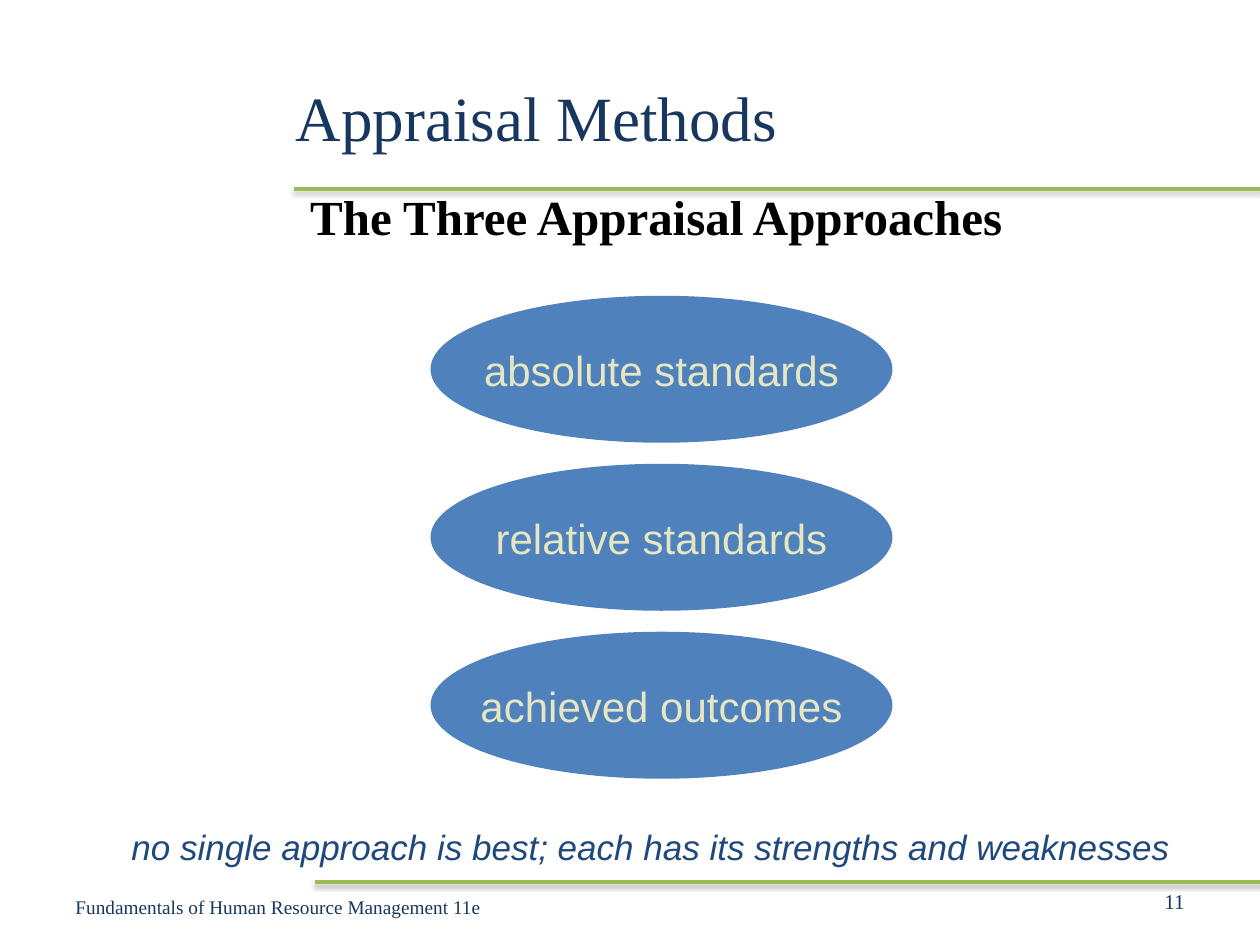
from pptx import Presentation
from pptx.dml.color import RGBColor
from pptx.enum.shapes import MSO_CONNECTOR, MSO_SHAPE
from pptx.enum.text import MSO_ANCHOR, PP_ALIGN
from pptx.oxml import parse_xml
from pptx.oxml.ns import nsdecls
from pptx.util import Pt

LINE = MSO_CONNECTOR.STRAIGHT
OVAL = MSO_SHAPE.OVAL
TOP, MIDDLE = MSO_ANCHOR.TOP, MSO_ANCHOR.MIDDLE
LEFT, CENTER, RIGHT = PP_ALIGN.LEFT, PP_ALIGN.CENTER, PP_ALIGN.RIGHT
SERIF, SANS = "Times New Roman", "Arial"
NAVY, BLUE, GREEN = "17375E", "4F81BD", "9BBB59"
SHADOW = (
    f'<a:effectLst {nsdecls("a")}>'
    '<a:outerShdw blurRad="39370" dist="20320" dir="5400000" rotWithShape="0">'
    '<a:srgbClr val="000000"><a:alpha val="38000"/></a:srgbClr>'
    "</a:outerShdw></a:effectLst>"
)


def color(code):
    return RGBColor.from_string(code)


def apply(item, values):
    for name, value in values.items():
        setattr(item, name, value)


class Deck:
    def __init__(self, wide, high):
        self.prs = Presentation()
        apply(self.prs, {"slide_width": Pt(wide), "slide_height": Pt(high)})
        self.slide = self.prs.slides.add_slide(self.prs.slide_layouts[6])
        self.shapes = self.slide.shapes

    def fill_text(self, shape, text, size, tint, font=SERIF, align=LEFT,
                  anchor=MIDDLE, wrap=True, before=0, **style):
        frame = shape.text_frame
        apply(frame, {"word_wrap": wrap, "vertical_anchor": anchor})
        para = frame.paragraphs[0]
        apply(para, {"alignment": align, "space_before": Pt(before)})
        run = para.add_run()
        run.text = text
        apply(run.font, {"name": font, "size": Pt(size), **style})
        run.font.color.rgb = color(tint)

    def label(self, box, text, size, tint, **style):
        shape = self.shapes.add_textbox(*map(Pt, box))
        self.fill_text(shape, text, size, tint, **style)

    def oval(self, box, text):
        shape = self.shapes.add_shape(OVAL, *map(Pt, box))
        shape.shadow.inherit = False
        shape.fill.solid()
        shape.fill.fore_color.rgb = color(BLUE)
        shape.line.fill.background()
        self.fill_text(shape, text, 24, "E6E6C2", font=SANS, align=CENTER,
                       wrap=False)

    def rule(self, left, right, y):
        line = self.shapes.add_connector(LINE, Pt(left), Pt(y), Pt(right), Pt(y))
        line.line.width = Pt(2)
        line.line.color.rgb = color(GREEN)
        line._element.spPr.append(parse_xml(SHADOW))

    def save(self):
        self.prs.save("out.pptx")


def main():
    deck = Deck(720, 540)
    deck.rule(168, 720, 108)
    deck.rule(180, 720, 504)
    deck.label((162, 21.6, 522, 90), "Appraisal Methods", 36, NAVY)
    deck.label((516, 500.4, 168, 28.8), "11", 12, NAVY, align=RIGHT)
    deck.label((36, 504, 270, 28.8),
               "Fundamentals of Human Resource Management 11e", 11, NAVY)
    deck.label((72, 103, 606, 50.4), "The Three Appraisal Approaches", 28,
               "000000", align=CENTER, anchor=TOP, before=5.6, bold=True)
    deck.label((66, 468, 612, 31),
               "no single approach is best; each has its strengths and weaknesses",
               20, "1F497D", font=SANS, align=CENTER, anchor=TOP, before=10,
               italic=True)
    names = "absolute standards", "relative standards", "achieved outcomes"
    for i, name in enumerate(names):
        deck.oval((246, 169 + 96 * i, 264, 84), name)
    deck.save()


if __name__ == "__main__":
    main()
